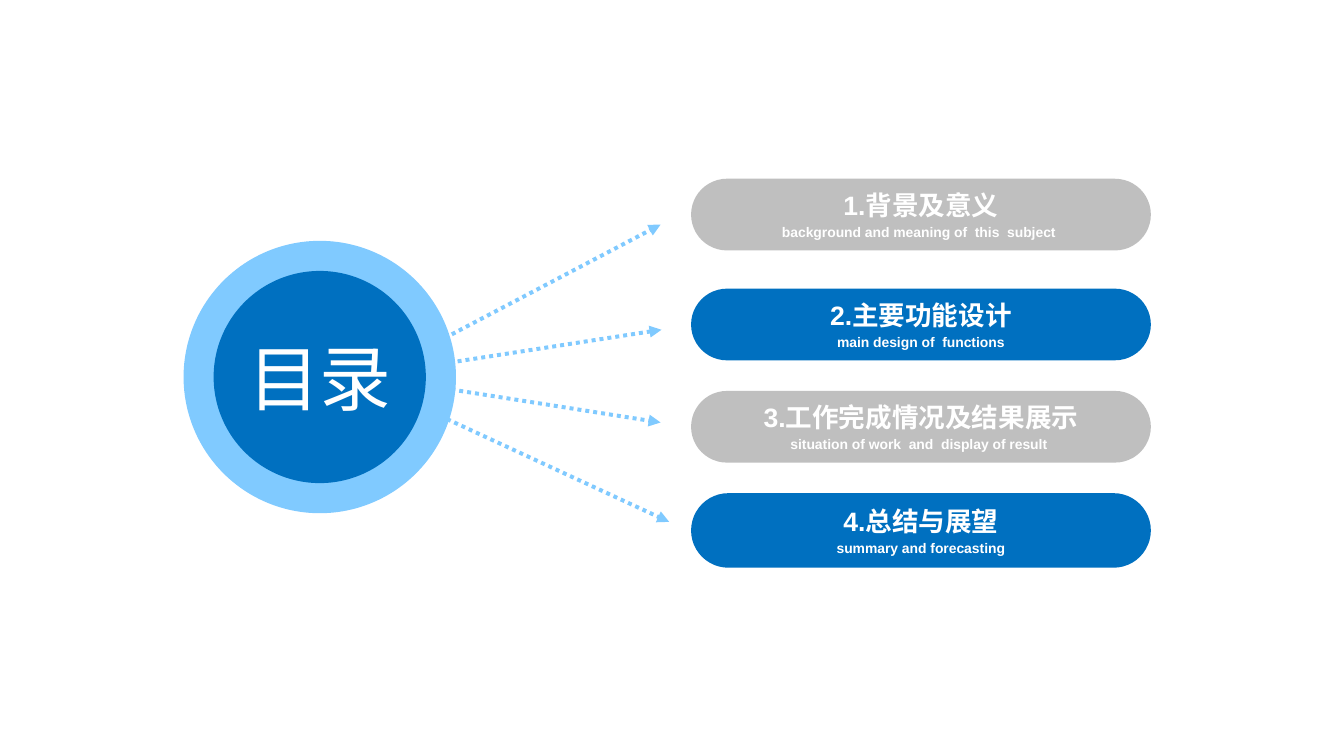
from lxml import etree
from pptx import Presentation
from pptx.dml.color import RGBColor
from pptx.enum.dml import MSO_LINE
from pptx.enum.shapes import MSO_CONNECTOR, MSO_SHAPE
from pptx.enum.text import MSO_ANCHOR, MSO_AUTO_SIZE, PP_ALIGN
from pptx.oxml.ns import qn
from pptx.util import Inches, Pt

BLUE = RGBColor(0x00, 0x70, 0xC0)
LIGHT_BLUE = RGBColor(0x80, 0xCA, 0xFF)
GRAY = RGBColor(0xBF, 0xBF, 0xBF)
WHITE = RGBColor(0xFF, 0xFF, 0xFF)

CENTER = PP_ALIGN.CENTER
MIDDLE = MSO_ANCHOR.MIDDLE
NO_AUTOFIT = MSO_AUTO_SIZE.NONE
PILL = MSO_SHAPE.ROUNDED_RECTANGLE
OVAL = MSO_SHAPE.OVAL
STRAIGHT = MSO_CONNECTOR.STRAIGHT
DOTTED = MSO_LINE.ROUND_DOT

FONT = "Arial"
SLIDE_WIDTH, SLIDE_HEIGHT = Inches(14.06), Inches(7.91)

# Positions are percentages of the slide's width and height
HUB_X, HUB_Y = 23.79, 49.87
RING_DIAMETER, DISC_DIAMETER = 20.27, 15.79
PILL_LEFT, PILL_WIDTH = 51.42, 34.21

# Top, height, heading, subtitle
TOPICS = [
    (23.64, 9.48, "1.背景及意义", "background and meaning of  this  subject "),
    (38.18, 9.48, "2.主要功能设计", "main design of  functions"),
    (51.71, 9.48, "3.工作完成情况及结果展示",
     "situation of work  and  display of result "),
    (65.23, 9.86, "4.总结与展望", "summary and forecasting"),
]
# Start and end of the arrow to each topic
ARROWS = [
    ((29.94, 47.66), (49.15, 29.71)),
    ((29.94, 48.93), (49.22, 43.62)),
    ((30.65, 50.70), (49.15, 55.88)),
    ((32.72, 54.99), (49.79, 69.03)),
]


def across(percent):
    return round(SLIDE_WIDTH * percent / 100)


def down(percent):
    return round(SLIDE_HEIGHT * percent / 100)


def prepare_frame(box):
    frame = box.text_frame
    frame.word_wrap = True
    frame.auto_size = NO_AUTOFIT
    frame.vertical_anchor = MIDDLE
    frame.margin_left = frame.margin_right = 0
    frame.margin_top = frame.margin_bottom = 0
    return frame


def write(para, text, size, bold=False, space_before=0):
    para.alignment = CENTER
    para.space_before = Pt(space_before)
    span = para.add_run()
    span.text = text
    span.font.name = FONT
    span.font.size = Pt(size)
    span.font.bold = bold
    span.font.color.rgb = WHITE


def add_filled_shape(page, kind, left, top, width, height, color):
    shape = page.shapes.add_shape(kind, left, top, width, height)
    shape.shadow.inherit = False
    shape.fill.solid()
    shape.fill.fore_color.rgb = color
    shape.line.fill.background()
    return shape


def add_circle(page, diameter, color):
    side = across(diameter)
    left, top = across(HUB_X) - side // 2, down(HUB_Y) - side // 2
    return add_filled_shape(page, OVAL, left, top, side, side, color)


def add_topic(page, top, height, heading, subtitle, color):
    pill = add_filled_shape(page, PILL, across(PILL_LEFT), down(top),
                            across(PILL_WIDTH), down(height), color)
    pill.adjustments[0] = 0.5
    frame = prepare_frame(pill)
    write(frame.paragraphs[0], heading, 20, bold=True, space_before=4)
    write(frame.add_paragraph(), subtitle, 10.5, bold=True, space_before=2)


def add_arrow(page, start, end):
    arrow = page.shapes.add_connector(
        STRAIGHT, across(start[0]), down(start[1]), across(end[0]), down(end[1]))
    arrow.line.color.rgb = LIGHT_BLUE
    arrow.line.width = Pt(3)
    arrow.line.dash_style = DOTTED
    etree.SubElement(arrow.line._get_or_add_ln(), qn("a:tailEnd"), type="triangle")
    etree.SubElement(arrow._element.spPr, qn("a:effectLst"))


def place_title(page, disc, text):
    title = page.shapes.title
    title.left, title.top = disc.left, disc.top
    title.width, title.height = disc.width, disc.height
    write(prepare_frame(title).paragraphs[0], text, 54)
    # Bring the title in front of the circles
    page.shapes._spTree.append(title._element)


def main():
    deck = Presentation()
    deck.slide_width, deck.slide_height = SLIDE_WIDTH, SLIDE_HEIGHT
    page = deck.slides.add_slide(deck.slide_layouts[5])

    # Topics in alternating colours, each with its arrow
    for index, (topic, (start, end)) in enumerate(zip(TOPICS, ARROWS)):
        add_topic(page, *topic, color=(GRAY, BLUE)[index % 2])
        add_arrow(page, start, end)

    # Hub with the title
    add_circle(page, RING_DIAMETER, LIGHT_BLUE)
    disc = add_circle(page, DISC_DIAMETER, BLUE)
    place_title(page, disc, "目录")

    deck.save("out.pptx")


main()
